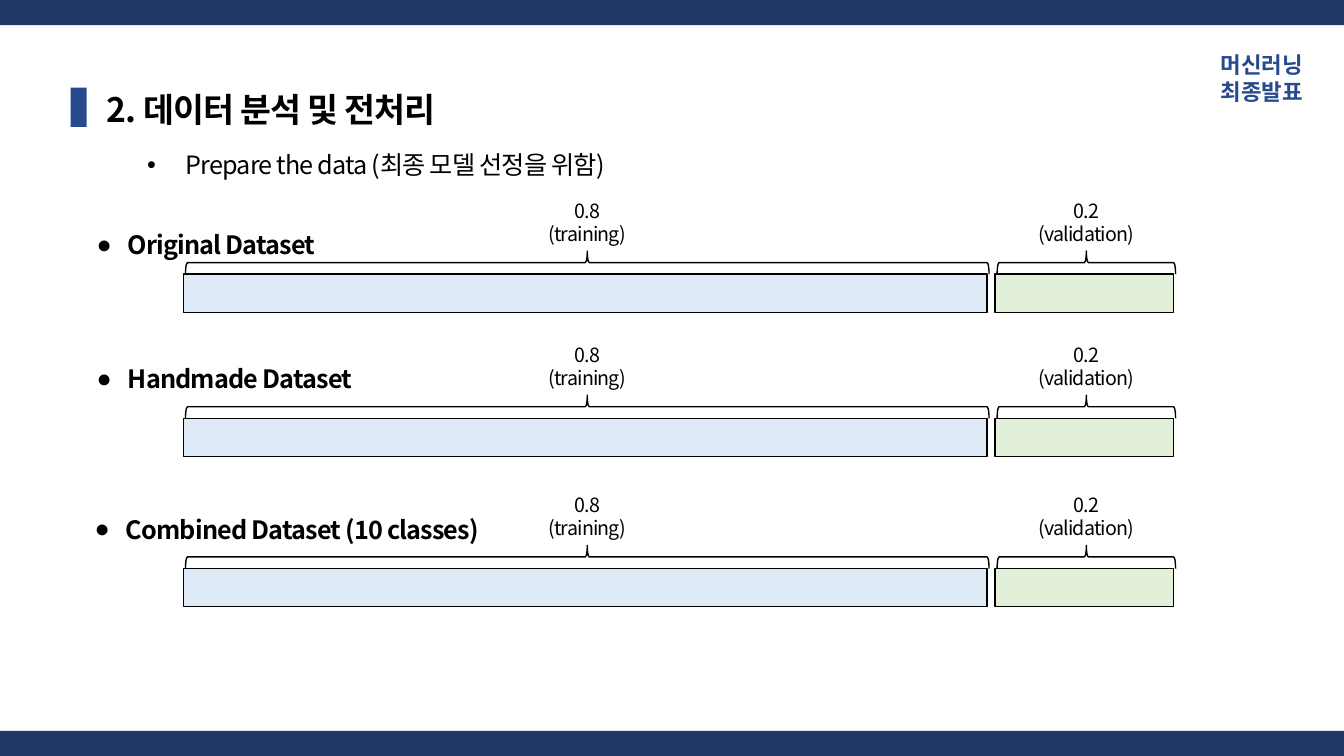
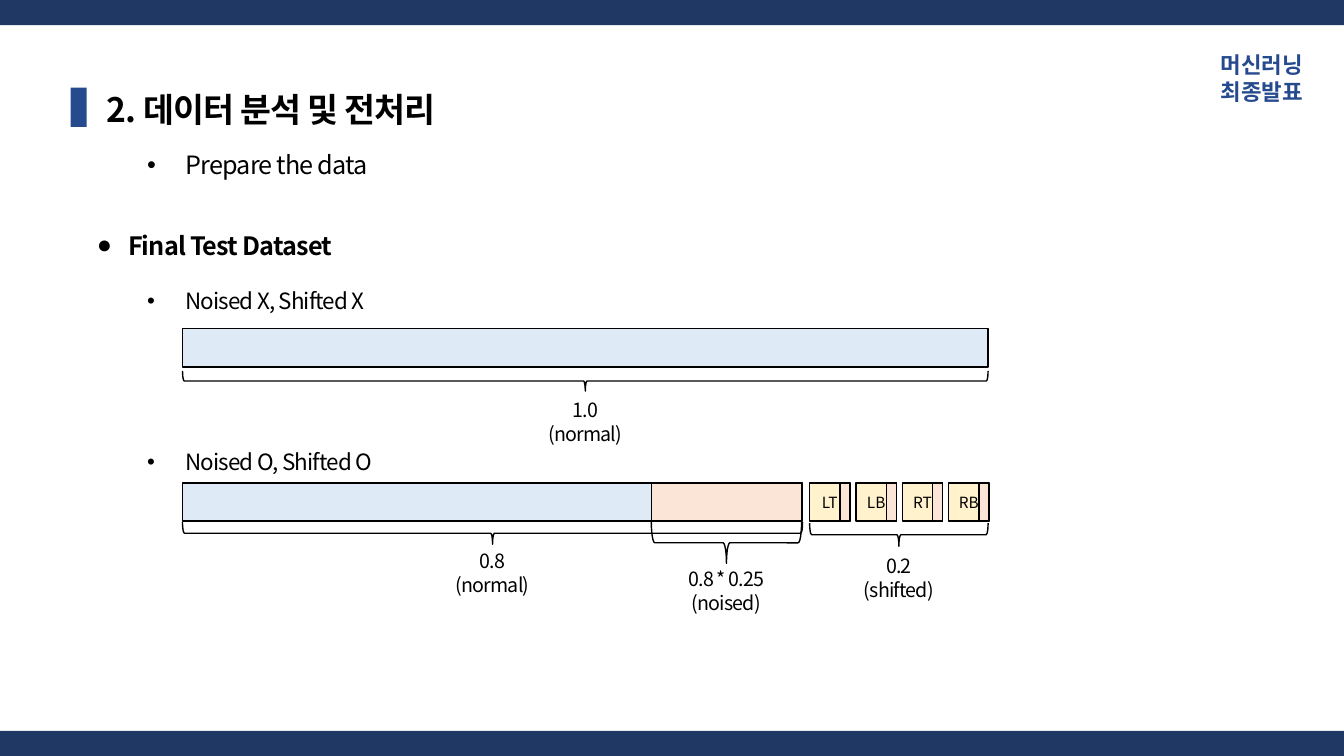
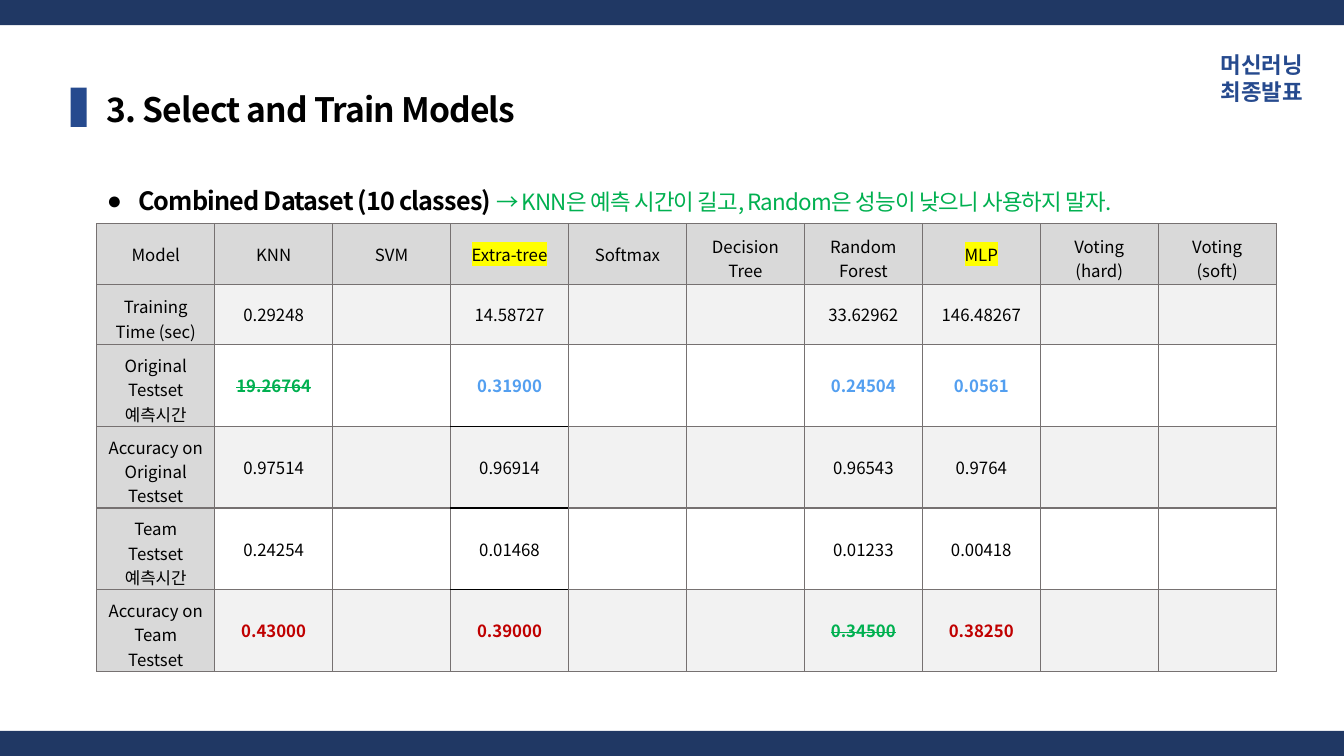
"""Builds three slides on data preparation and model selection."""
from lxml import etree
from pptx import Presentation
from pptx import util as u
from pptx.dml.color import RGBColor
from pptx.enum import shapes, text
from pptx.oxml import ns

L, C, R = text.PP_ALIGN.LEFT, text.PP_ALIGN.CENTER, text.PP_ALIGN.RIGHT


class Theme:
    face = "Noto Sans CJK KR"
    ink, band, navy = "000000", "203864", "264A8E"
    blue, green, peach, sand = "DEEBF7", "E2F0D9", "FBE5D6", "FFF2CC"
    head, alt, white, rule = "D9D9D9", "F2F2F2", "FFFFFF", "767171"
    go, sky, red, mark = "00B050", "539FF0", "C00000", "FFFF00"
    title = dict(size=24, bold=True, lead=1.2, spc=-60)
    tag = dict(size=16, bold=True, color=navy, align=R, lead=1.2)
    main = dict(size=18, bold=True, lead=2.4, spc=-60, bullet=("●", 0.31, 0.31))
    item = dict(size=18, lead=2.4, spc=-60, level=1, bullet=("•", 0.88, 0.38))
    sub = dict(item, size=16)
    note = dict(size=14, align=C, lead=1.2, spc=-60)
    cell = dict(size=12, align=C)
    chip = dict(size=11, align=C)


def write(para, words, style, **extra):
    """Add a run, formatting the paragraph with its first one."""
    form = {**style, **extra}
    if not para.runs:
        para.alignment = form.get("align", L)
        para.level = form.get("level", 0)
        para.space_before = u.Pt(form.get("before", 0))
        para.space_after = u.Pt(0)
        if "lead" in form:
            para.line_spacing = u.Pt(form["lead"] * form["size"])
        if "bullet" in form:
            char, left, hang = form["bullet"]
            props = para._p.get_or_add_pPr()
            props.set("marL", str(u.Inches(left)))
            props.set("indent", str(-u.Inches(hang)))
            etree.SubElement(props, ns.qn("a:buFont")).set("typeface", "Arial")
            etree.SubElement(props, ns.qn("a:buChar")).set("char", char)
    run = para.add_run()
    run.text = words
    font = run.font
    font.color.rgb = RGBColor.from_string(form.get("color", Theme.ink))
    for key, val in dict(size=u.Pt(form["size"]), bold=form.get("bold", False), name=Theme.face).items():
        setattr(font, key, val)
    props = run._r.get_or_add_rPr()
    latin = props.find(ns.qn("a:latin"))
    east = etree.Element(ns.qn("a:ea"), typeface=Theme.face)
    latin.addnext(east)
    if "spc" in form:
        props.set("spc", str(form["spc"]))
    if form.get("strike"):
        props.set("strike", "sngStrike")
    if form.get("mark"):
        glow = etree.Element(ns.qn("a:highlight"))
        etree.SubElement(glow, ns.qn("a:srgbClr")).set("val", form["mark"])
        latin.addprevious(glow)


def draw(slide, kind, at, fill=None, line=True):
    """Add a flat shape with a plain fill and a thin outline."""
    shape = slide.shapes.add_shape(kind, *map(u.Inches, at))
    shape.shadow.inherit = False
    if fill:
        shape.fill.solid()
        shape.fill.fore_color.rgb = RGBColor.from_string(fill)
    else:
        shape.fill.background()
    if line:
        shape.line.color.rgb = RGBColor.from_string(Theme.ink)
        shape.line.width = u.Pt(1)
    else:
        shape.line.fill.background()
    return shape


rect, brace = shapes.MSO_SHAPE.RECTANGLE, shapes.MSO_SHAPE.RIGHT_BRACE
deck = Presentation()
deck.slide_width, deck.slide_height = u.Inches(13.33), u.Inches(7.5)

prep = "2. 데이터 분석 및 전처리"
plan = [
    (1, prep, [((0.86, 1.13, 6.66, 0.71), [("Prepare the data (최종 모델 선정을 위함)", Theme.item)])]),
    (3, prep, [
        ((0.86, 1.13, 6.66, 0.62), [("Prepare the data", Theme.item)]),
        ((0.86, 1.93, 6.67, 5.08), [
            ("Final Test Dataset", Theme.main),
            ("Noised X, Shifted X", Theme.sub),
            ("Noised O, Shifted O", dict(Theme.sub, before=76.8)),
        ]),
    ]),
    (1, "3. Select and Train Models", [
        ((0.96, 1.49, 11.1, 0.62), [("Combined Dataset (10 classes) ", Theme.main)]),
    ]),
]
for num, title, lists in plan:
    slide = deck.slides.add_slide(deck.slide_layouts[num])
    for at, fill in [
        ((0, 0, 13.33, 0.25), Theme.band),
        ((0, 7.25, 13.33, 0.25), Theme.band),
        ((0.7, 0.87, 0.16, 0.39), Theme.navy),
    ]:
        draw(slide, rect, at, fill, line=False)
    tag = slide.shapes.add_textbox(0, 0, 0, 0)
    parts = [
        (tag, (11.42, 0.46, 1.6, 0.64), [("머신러닝 최종발표", Theme.tag)]),
        (slide.shapes.title, (0.96, 0.83, 6.67, 0.5), [(title, Theme.title)]),
    ]
    for idx, (at, lines) in enumerate(lists, 1):
        parts.append((slide.placeholders[idx], at, lines))
    for part, at, lines in parts:
        part.left, part.top, part.width, part.height = map(u.Inches, at)
        frame = part.text_frame
        frame.word_wrap = True
        frame.auto_size = text.MSO_AUTO_SIZE.NONE
        frame.vertical_anchor = text.MSO_ANCHOR.TOP
        for i, (words, style) in enumerate(lines):
            write(frame.add_paragraph() if i else frame.paragraphs[0], words, style)

split, test, train = deck.slides

braces = []
for name, left, top, gap in [
    ("Original Dataset", 0.86, 2.72, 0.79),
    ("Handmade Dataset", 0.86, 4.15, 0.89),
    ("Combined Dataset (10 classes)", 0.84, 5.64, 0.89),
]:
    label = split.shapes.add_textbox(*map(u.Inches, (left, top - gap, 6.67, 0.62)))
    label.text_frame.word_wrap = True
    write(label.text_frame.paragraphs[0], name, Theme.main)
    for x, wide, fill, share, use in [
        (1.82, 7.97, Theme.blue, "0.8", "(training)"),
        (9.87, 1.77, Theme.green, "0.2", "(validation)"),
    ]:
        draw(split, rect, (x, top, wide, 0.38), fill)
        braces.append((split, (x + 0.02, top - 0.23, wide, 0.23), True, top - 0.8, share, use))

for x, top, wide, fill in [
    (1.81, 3.26, 7.99, Theme.blue),
    (1.81, 4.79, 6.15, Theme.blue),
    (6.46, 4.79, 1.49, Theme.peach),
]:
    draw(test, rect, (x, top, wide, 0.38), fill)
for i, name in enumerate(["LT", "LB", "RT", "RB"]):
    x = 8.03 + 0.46 * i
    chip = draw(test, rect, (x, 4.79, 0.4, 0.38), Theme.sand)
    frame = chip.text_frame
    frame.margin_left = frame.margin_right = 0
    frame.vertical_anchor = text.MSO_ANCHOR.MIDDLE
    write(frame.paragraphs[0], name, Theme.chip)
    draw(test, rect, (x + 0.3, 4.79, 0.1, 0.38), Theme.peach)

braces += [
    (test, (1.81, 3.68, 7.99, 0.2), False, 3.9, "1.0", "(normal)"),
    (test, (1.81, 5.18, 6.15, 0.22), False, 5.4, "0.8", "(normal)"),
    (test, (6.46, 5.18, 1.49, 0.41), False, 5.58, "0.8 * 0.25", "(noised)"),
    (test, (8.03, 5.19, 1.77, 0.23), False, 5.45, "0.2", "(shifted)"),
]
for slide, (x, y, wide, high), up, top, share, use in braces:
    mid = x + wide / 2
    shape = draw(slide, brace, (mid - high / 2, y + high / 2 - wide / 2, high, wide))
    shape.rotation = 90
    if up:
        shape._element.spPr.xfrm.set("flipH", "1")
    note = slide.shapes.add_textbox(*map(u.Inches, (mid - 0.64, top, 1.28, 0.57)))
    frame = note.text_frame
    frame.word_wrap = True
    write(frame.paragraphs[0], share, Theme.note)
    write(frame.add_paragraph(), use, Theme.note)

lead = train.placeholders[1].text_frame.paragraphs[0]
write(lead, "→ KNN은 예측 시간이 길고, Random은 성능이 낮으니 사용하지 말자.", Theme.sub, color=Theme.go)

rows = [
    ["Model", "KNN", "SVM", "Extra-tree", "Softmax", "Decision Tree", "Random Forest", "MLP",
     "Voting\n(hard)", "Voting\n(soft)"],
    ["Training Time (sec)", "0.29248", "", "14.58727", "", "", "33.62962", "146.48267", "", ""],
    ["Original Testset 예측시간", "19.26764", "", "0.31900", "", "", "0.24504", "0.0561", "", ""],
    ["Accuracy on Original Testset", "0.97514", "", "0.96914", "", "", "0.96543", "0.9764", "", ""],
    ["Team Testset\n예측시간", "0.24254", "", "0.01468", "", "", "0.01233", "0.00418", "", ""],
    ["Accuracy on Team Testset", "0.43000", "", "0.39000", "", "", "0.34500", "0.38250", "", ""],
]
looks = {(0, c): dict(mark=Theme.mark) for c in (3, 7)}
looks.update({(2, c): dict(bold=True, color=Theme.sky) for c in (3, 6, 7)})
looks.update({(5, c): dict(bold=True, color=Theme.red) for c in (1, 3, 7)})
looks.update({at: dict(bold=True, color=Theme.go, strike=True) for at in [(2, 1), (5, 6)]})

grid = train.shapes.add_table(6, 10, *map(u.Inches, (0.96, 2.22, 11.7, 4.45))).table
grid.first_row = grid.horz_banding = False
for col in grid.columns:
    col.width = u.Inches(1.17)
for r, line in enumerate(rows):
    grid.rows[r].height = u.Inches(0.6 if r < 2 else 0.81)
    for c, words in enumerate(line):
        cell = grid.cell(r, c)
        many = len(words.split()) > 1
        sides = dict(left=0.1, right=0.1, top=0.08 if many else 0.04, bottom=0 if many else 0.04)
        for side, size in sides.items():
            setattr(cell, "margin_" + side, u.Inches(size))
        cell.vertical_anchor = text.MSO_ANCHOR.MIDDLE
        props = cell._tc.get_or_add_tcPr()
        for side in "LRTB":
            dark = c == 3 and (side == "T" and r > 2 or side == "B" and 1 < r < 5)
            edge = etree.SubElement(props, ns.qn("a:ln" + side), w=str(u.Pt(1)))
            fill = etree.SubElement(edge, ns.qn("a:solidFill"))
            etree.SubElement(fill, ns.qn("a:srgbClr")).set("val", Theme.ink if dark else Theme.rule)
        cell.fill.solid()
        tint = Theme.head if r == 0 or c == 0 else Theme.alt if r % 2 else Theme.white
        cell.fill.fore_color.rgb = RGBColor.from_string(tint)
        frame = cell.text_frame
        for i, piece in enumerate(words.split("\n") if words else []):
            para = frame.add_paragraph() if i else frame.paragraphs[0]
            write(para, piece, Theme.cell, **looks.get((r, c), {}))

deck.save("out.pptx")
